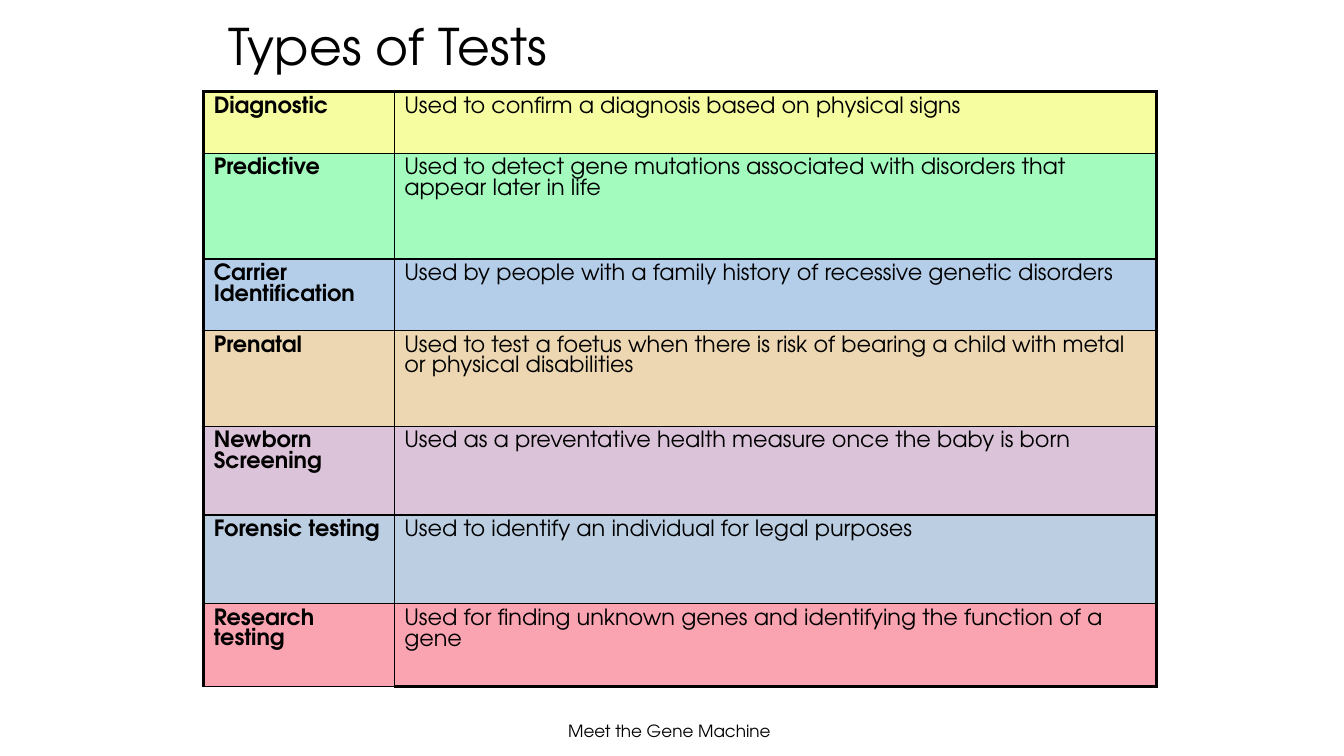
from lxml.etree import SubElement
from pptx import Presentation
from pptx.dml.color import RGBColor as Color
from pptx.enum.text import MSO_ANCHOR as Anchor, MSO_AUTO_SIZE as AutoSize, PP_ALIGN as Align
from pptx.oxml.ns import qn
from pptx.util import Inches, Pt

TITLE = "Types of Tests"
FOOTER = "Meet the Gene Machine"
TESTS = [
    ("Diagnostic", "Used to confirm a diagnosis based on physical signs", "F6FDA1", 0.61),
    ("Predictive", "Used to detect gene mutations associated with disorders that appear later in life",
     "A3FBBE", 1.05),
    ("Carrier Identification", "Used by people with a family history of recessive genetic disorders",
     "B4CEEA", 0.71),
    ("Prenatal", "Used to test a foetus when there is risk of bearing a child with metal or physical disabilities",
     "ECD7B2", 0.95),
    ("Newborn Screening", "Used as a preventative health measure once the baby is born", "DBC3D9", 0.88),
    ("Forensic testing", "Used to identify an individual for legal purposes", "BCCEE2", 0.88),
    ("Research testing", "Used for finding unknown genes and identifying the function of a gene",
     "FAA4B2", 0.82),
]
COLUMNS = (1.89, 7.56)
THEME = {"font": "TeX Gyre Adventor", "ink": "000000", "title": 36, "body": 16, "footer": 12,
         "thin": 1, "thick": 2.25}


def write(frame, text, size, bold=False, align=Align.LEFT, anchor=Anchor.TOP, spacing=None):
    frame.word_wrap = True
    frame.vertical_anchor = anchor
    para = frame.paragraphs[0]
    para.alignment = align
    para.line_spacing = spacing
    span = para.add_run()
    span.text = text
    span.font.name = THEME["font"]
    span.font.size = Pt(size)
    span.font.bold = bold
    span.font.color.rgb = Color.from_string(THEME["ink"])


def add_borders(cell, thick_sides):
    properties = cell._tc.get_or_add_tcPr()
    for position, side in enumerate("LRTB"):
        width = THEME["thick" if side in thick_sides else "thin"]
        line = properties.makeelement(qn(f"a:ln{side}"), {"w": str(Pt(width))})
        fill = SubElement(line, qn("a:solidFill"))
        SubElement(fill, qn("a:srgbClr"), val=THEME["ink"])
        properties.insert(position, line)


def add_title(page):
    box = page.shapes.title
    box.left, box.top, box.width, box.height = map(Inches, (2.17, 0.3, 9, 0.38))
    write(box.text_frame, TITLE, THEME["title"], anchor=Anchor.MIDDLE, spacing=0.9)
    box.text_frame.auto_size = AutoSize.NONE


def add_tests(page):
    heights = [height for *_, height in TESTS]
    table = page.shapes.add_table(len(TESTS), len(COLUMNS), Inches(2.02), Inches(0.91),
                                  Inches(sum(COLUMNS)), Inches(sum(heights))).table
    table.first_row = table.horz_banding = False
    for column, width in zip(table.columns, COLUMNS):
        column.width = Inches(width)
    last = len(TESTS) - 1
    for index, (name, purpose, color, height) in enumerate(TESTS):
        table.rows[index].height = Inches(height)
        for side, text in enumerate((name, purpose)):
            cell = table.cell(index, side)
            cell.fill.solid()
            cell.fill.fore_color.rgb = Color.from_string(color)
            write(cell.text_frame, text, THEME["body"], bold=side == 0)
            thick = "LR"[side] + ("T" if index == 0 else "")
            add_borders(cell, thick + ("B" if index == last and side == 1 else ""))


def add_footer(page):
    box = page.shapes.add_textbox(Inches(4.39), Inches(7.05), Inches(4.5), Inches(0.4))
    write(box.text_frame, FOOTER, THEME["footer"], align=Align.CENTER, anchor=Anchor.MIDDLE)


def main():
    deck = Presentation()
    deck.slide_width, deck.slide_height = Inches(13.33), Inches(7.5)
    page = deck.slides.add_slide(deck.slide_layouts[5])
    add_title(page)
    add_tests(page)
    add_footer(page)
    deck.save("out.pptx")


if __name__ == "__main__":
    main()
